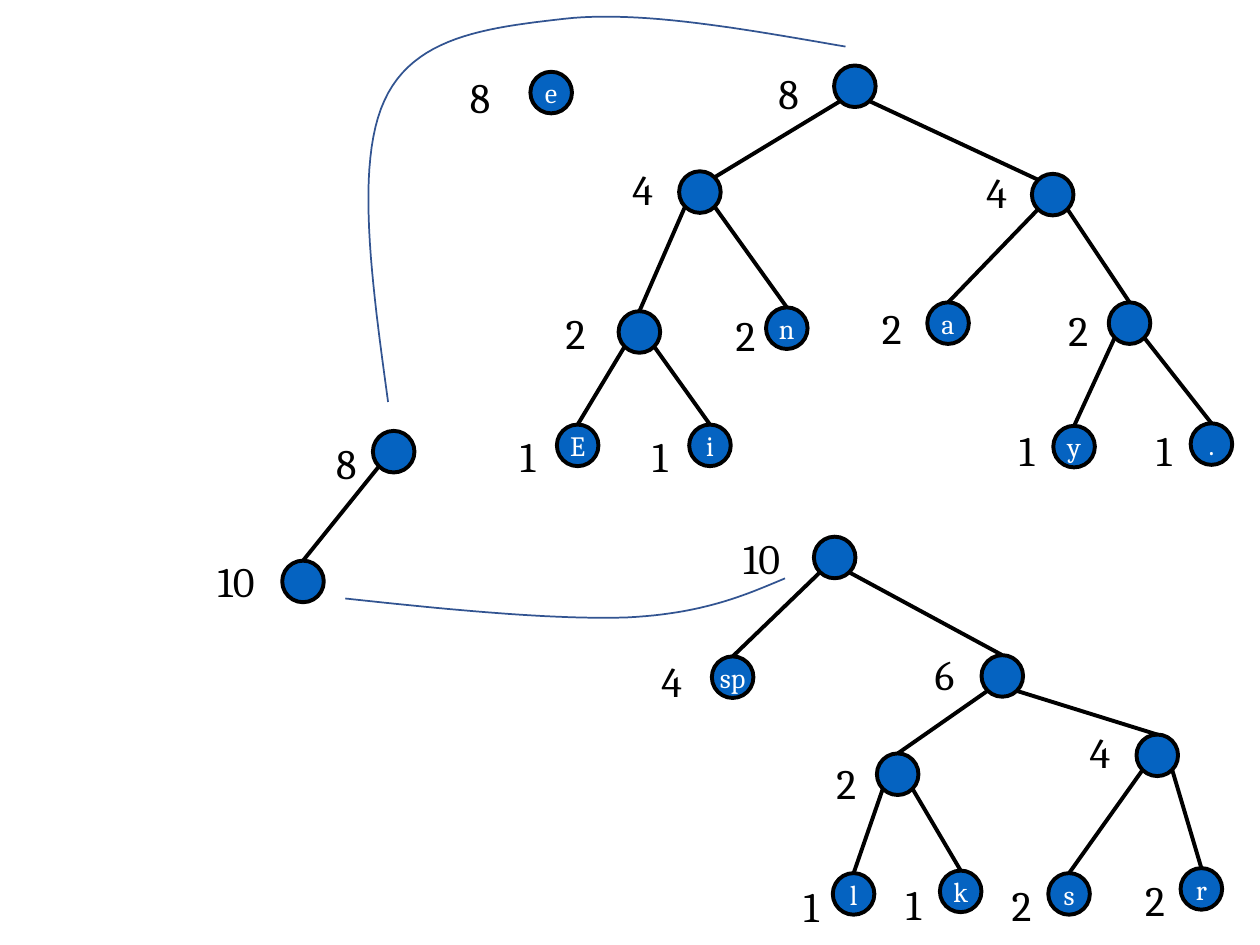
from collections import namedtuple
from dataclasses import dataclass

from lxml import etree
from pptx import Presentation
from pptx.dml.color import RGBColor
from pptx.enum.shapes import MSO_CONNECTOR, MSO_SHAPE
from pptx.enum.text import MSO_ANCHOR, PP_ALIGN
from pptx.oxml.ns import qn
from pptx.util import Inches, Pt

OVAL = MSO_SHAPE.OVAL
STRAIGHT = MSO_CONNECTOR.STRAIGHT
LEFT, CENTER = PP_ALIGN.LEFT, PP_ALIGN.CENTER
TOP, MIDDLE = MSO_ANCHOR.TOP, MSO_ANCHOR.MIDDLE


@dataclass(frozen=True)
class Theme:
    """Colours, type sizes and measures of the slide."""
    font: str = "Cambria"
    node: RGBColor = RGBColor(0x05, 0x63, 0xC1)
    ink: RGBColor = RGBColor(0, 0, 0)
    letter: RGBColor = RGBColor(255, 255, 255)
    curve: RGBColor = RGBColor(0x32, 0x54, 0x91)
    weight_size: int = 24
    letter_size: int = 16
    edge: float = 2.25
    curve_width: float = 1
    diameter: float = 0.33
    diagonal: float = 0.12


T = Theme()
Node = namedtuple("Node", "x y weight dx dy letter children", defaults=("", ()))

LETTER_TREE = Node(2.59, 0.03, "8", -0.54, -0.03, children=(
    Node(1.36, 0.87, "4", -0.47, -0.11, children=(
        Node(0.88, 1.98, "2", -0.52, -0.08, children=(
            Node(0.39, 2.88, "1", -0.39, 0, "E"),
            Node(1.44, 2.88, "1", -0.39, 0, "i"))),
        Node(2.05, 1.95, "2", -0.34, -0.03, "n"))),
    Node(4.16, 0.89, "4", -0.46, -0.11, children=(
        Node(3.33, 1.91, "2", -0.46, -0.05, "a"),
        Node(4.77, 1.91, "2", -0.42, -0.03, children=(
            Node(4.33, 2.89, "1", -0.37, -0.06, "y"),
            Node(5.42, 2.87, "1", -0.37, -0.04, ".")))))))

SPACE_TREE = Node(1.31, 0.08, "10", -0.66, -0.08, children=(
    Node(0.5, 1.03, "4", -0.5, -0.06, "sp"),
    Node(2.64, 1.02, "6", -0.47, -0.1, children=(
        Node(1.81, 1.8, "2", -0.42, -0.02, children=(
            Node(1.46, 2.75, "1", -0.33, 0.01, "l"),
            Node(2.31, 2.73, "1", -0.37, 0.01, "k"))),
        Node(3.87, 1.65, "4", -0.47, -0.11, children=(
            Node(3.17, 2.75, "2", -0.39, 0, "s"),
            Node(4.22, 2.71, "2", -0.38, 0, "r")))))))

E_LEAF = Node(0.58, 0.05, "8", -0.58, -0.05, "e")

HEAP = Node(1.33, 0, "8", -0.39, 0, children=(
    Node(0.61, 1.03, "10", -0.61, -0.09),))


def write(shape, text, size, color, align=LEFT, anchor=TOP):
    """Put one formatted run of text into a shape."""
    tf = shape.text_frame
    tf.word_wrap = False
    tf.vertical_anchor = anchor
    p = tf.paragraphs[0]
    p.alignment = align
    r = p.add_run()
    r.text = text
    r.font.name, r.font.size = T.font, Pt(size)
    r.font.color.rgb = color


def add_edge(s, x1, y1, x2, y2):
    """Draw a straight tree edge."""
    c = s.shapes.add_connector(STRAIGHT, *map(Inches, (x1, y1, x2, y2)))
    c.line.color.rgb, c.line.width = T.ink, Pt(T.edge)
    etree.SubElement(c._element.spPr, qn("a:effectLst"))


def add_tree(s, left, top, node, to_corner=False):
    """Draw a node, its weight and its subtrees from the box corner."""
    x, y, radius = left + node.x, top + node.y, T.diameter / 2
    oval = s.shapes.add_shape(OVAL, *map(Inches, (x, y, T.diameter, T.diameter)))
    oval.shadow.inherit = False
    oval.fill.solid()
    oval.fill.fore_color.rgb = T.node
    oval.line.color.rgb, oval.line.width = T.ink, Pt(T.edge)
    if node.letter:
        write(oval, node.letter, T.letter_size, T.letter, CENTER, MIDDLE)
    width = 0.39 + 0.18 * (len(node.weight) - 1)
    label = s.shapes.add_textbox(
        *map(Inches, (x + node.dx, y + node.dy, width, 0.5)))
    write(label, node.weight, T.weight_size, T.ink)
    for child in node.children:
        add_tree(s, left, top, child)
        side = -T.diagonal if child.x < node.x else T.diagonal
        end_x, end_y = left + child.x + radius, top + child.y
        if to_corner:
            end_x, end_y = end_x - side, end_y + radius - T.diagonal
        add_edge(s, x + radius + side, y + radius + T.diagonal, end_x, end_y)


def bezier(points, steps=24):
    """Return points along a chain of cubic curves."""
    path = [points[0]]
    for i in range(0, len(points) - 1, 3):
        quad = points[i:i + 4]
        for k in range(1, steps + 1):
            t = k / steps
            u = 1 - t
            factors = (u ** 3, 3 * u * u * t, 3 * u * t * t, t ** 3)
            path.append(tuple(sum(f * q[axis] for f, q in zip(factors, quad))
                              for axis in (0, 1)))
    return path


def add_curve(s, left, top, points):
    """Draw an open pointer curve with points relative to its box."""
    path = [(Inches(left + x), Inches(top + y)) for x, y in bezier(points)]
    builder = s.shapes.build_freeform(*path[0])
    builder.add_line_segments(path[1:], close=False)
    curve = builder.convert_to_shape()
    curve.shadow.inherit = False
    curve.fill.background()
    curve.line.color.rgb, curve.line.width = T.curve, Pt(T.curve_width)


def build_slide(prs):
    """Place the heap, the three trees and the pointer curves."""
    s = prs.slides.add_slide(prs.slide_layouts[6])
    add_tree(s, 1.63, 3.42, HEAP)
    add_curve(s, 2.74, 4.59, [(3.49, 0), (3.16, 0.14), (2.83, 0.28), (2.24, 0.31),
                              (1.66, 0.33), (0.83, 0.25), (0, 0.16)])
    add_tree(s, 4.03, 0.49, LETTER_TREE, to_corner=True)
    add_tree(s, 5.15, 4.18, SPACE_TREE)
    add_tree(s, 3.63, 0.52, E_LEAF)
    add_curve(s, 2.92, 0.13, [(3.79, 0.24), (2.98, 0.1), (2.16, -0.05),
                              (1.55, 0.02), (0.94, 0.09), (0.36, 0.16),
                              (0.13, 0.67), (-0.1, 1.17), (0.03, 2.11),
                              (0.16, 3.06)])


prs = Presentation()
prs.slide_width, prs.slide_height = Inches(10), Inches(7.5)
build_slide(prs)
prs.save("out.pptx")
